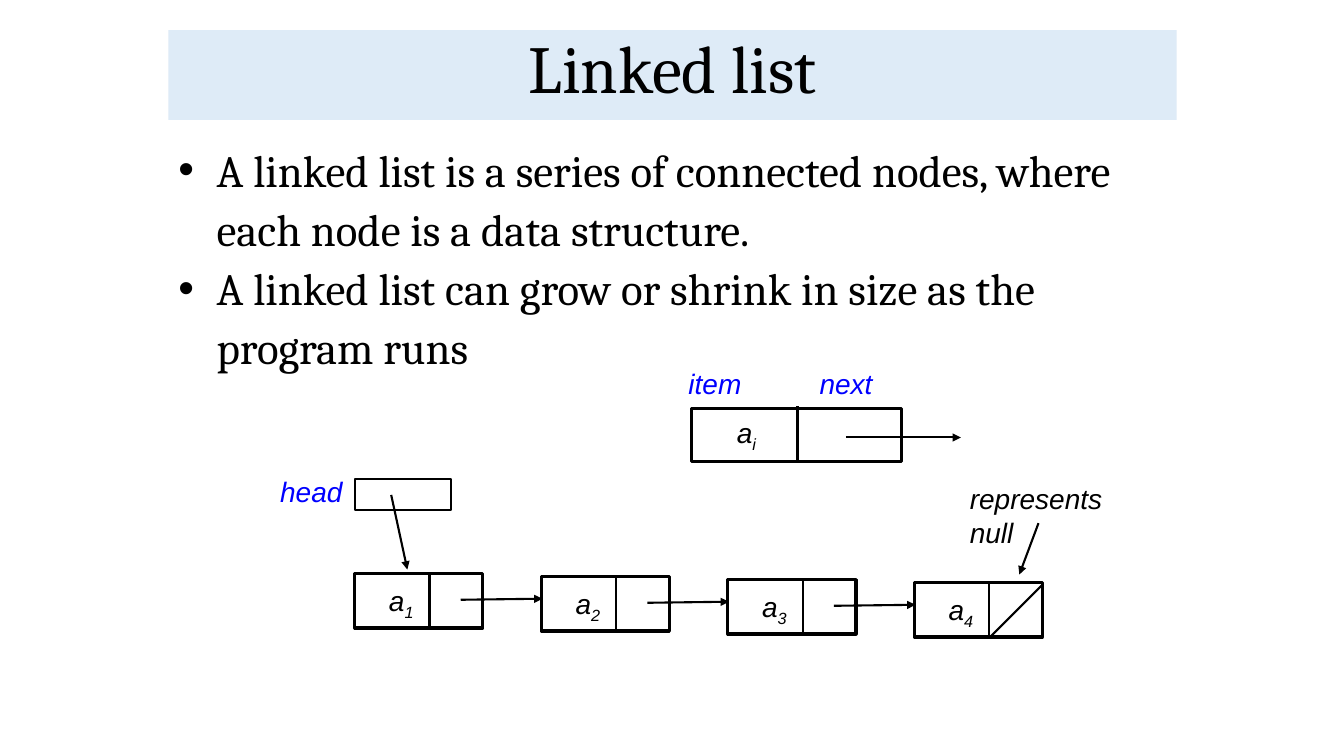
"""Build a slide that explains a linked list with a node diagram."""
from lxml import etree
from pptx import Presentation
from pptx.dml.color import RGBColor
from pptx.enum.shapes import MSO_CONNECTOR, MSO_SHAPE
from pptx.enum.text import MSO_ANCHOR, MSO_AUTO_SIZE, PP_ALIGN
from pptx.oxml.ns import qn
from pptx.util import Inches, Pt

STRAIGHT = MSO_CONNECTOR.STRAIGHT
RECTANGLE = MSO_SHAPE.RECTANGLE
MIDDLE, TOP = MSO_ANCHOR.MIDDLE, MSO_ANCHOR.TOP
NO_RESIZE = MSO_AUTO_SIZE.NONE
CENTER, LEFT = PP_ALIGN.CENTER, PP_ALIGN.LEFT
TITLE_ONLY = 5

BLACK, BLUE, PALE_BLUE = "000000", "0000FF", "DEEBF7"
BULLETS = [
    "A linked list is a series of connected nodes, where each node is a data structure. ",
    "A linked list can grow or shrink in size as the program runs ",
]
NODE_COUNT = 4
NODE_STEP_X, NODE_STEP_Y = 1.85, 0.03


def color(hex_string):
    """Turn a hex string into a colour."""
    return RGBColor.from_string(hex_string)


def add_run(paragraph, text, size, font, hex_color=BLACK, italic=False):
    """Append one formatted run and return it."""
    run = paragraph.add_run()
    run.text = text
    run.font.size = Pt(size)
    run.font.name = font
    run.font.italic = italic
    run.font.color.rgb = color(hex_color)
    return run


def add_title(slide, text):
    """Place the title on its pale blue band."""
    title = slide.shapes.title
    title.left, title.top = Inches(1.67), Inches(0.3)
    title.width, title.height = Inches(10), Inches(0.89)
    title.fill.solid()
    title.fill.fore_color.rgb = color(PALE_BLUE)
    frame = title.text_frame
    frame.auto_size = NO_RESIZE
    frame.vertical_anchor = MIDDLE
    frame.margin_bottom = Inches(0.11)
    paragraph = frame.paragraphs[0]
    paragraph.alignment = CENTER
    paragraph.line_spacing = 0.9
    add_run(paragraph, text, 48, "Cambria")


def add_bullets(slide, texts):
    """Write the bulleted statements."""
    box = slide.shapes.add_textbox(Inches(1.67), Inches(1.31), Inches(10), Inches(2.47))
    frame = box.text_frame
    frame.word_wrap = True
    for index, text in enumerate(texts):
        paragraph = frame.add_paragraph() if index else frame.paragraphs[0]
        paragraph.line_spacing = 1.1
        add_run(paragraph, text, 32, "Cambria")
        properties = paragraph._p.get_or_add_pPr()
        properties.set("marL", str(Inches(0.38)))
        properties.set("indent", str(Inches(-0.38)))
        etree.SubElement(properties, qn("a:buFont")).set("typeface", "Arial")
        etree.SubElement(properties, qn("a:buChar")).set("char", "•")


def add_label(group, left, top, width, lines, hex_color=BLACK, subscript=None):
    """Add an italic label, one paragraph a line, with an optional subscript."""
    height = 0.43 + 0.34 * (len(lines) - 1)
    box = group.shapes.add_textbox(Inches(left), Inches(top), Inches(width), Inches(height))
    frame = box.text_frame
    frame.word_wrap = False
    frame.vertical_anchor = TOP
    for index, line in enumerate(lines):
        paragraph = frame.add_paragraph() if index else frame.paragraphs[0]
        paragraph.alignment = LEFT
        add_run(paragraph, line, 20, "Arial", hex_color, True)
    if subscript:
        run = add_run(paragraph, subscript, 20, "Arial", hex_color, True)
        run._r.get_or_add_rPr().set("baseline", "-25000")


def add_box(group, left, top, width, height, line_width=2.25):
    """Add an unfilled box with a black outline."""
    box = group.shapes.add_shape(
        RECTANGLE, Inches(left), Inches(top), Inches(width), Inches(height))
    box.shadow.inherit = False
    box.fill.background()
    box.line.color.rgb = color(BLACK)
    box.line.width = Pt(line_width)


def add_line(group, start, end, arrow=False):
    """Add a black line, with an arrowhead at its end on request."""
    points = [Inches(value) for value in (*start, *end)]
    connector = group.shapes.add_connector(STRAIGHT, *points)
    connector.line.color.rgb = color(BLACK)
    connector.line.width = Pt(1.5)
    if arrow:
        head = etree.SubElement(connector.line._get_or_add_ln(), qn("a:tailEnd"))
        head.set("type", "triangle")
    etree.SubElement(connector._element.spPr, qn("a:effectLst"))


def add_node_anatomy(slide):
    """Draw the single node with its item and next fields."""
    group = slide.shapes.add_group_shape()
    add_line(group, (7.91, 4.03), (7.91, 4.58))
    add_label(group, 6.73, 3.59, 0.73, ["item"], BLUE)
    add_label(group, 8.03, 3.59, 0.73, ["next"], BLUE)
    add_box(group, 6.86, 4.05, 2.08, 0.53)
    add_label(group, 7.21, 4.07, 0.4, ["a"], subscript="i")
    add_line(group, (8.39, 4.34), (9.53, 4.34), arrow=True)


def add_list_node(group, number):
    """Draw a numbered node with its link, or a null slash in the last."""
    left = 3.52 + NODE_STEP_X * (number - 1)
    top = 5.69 + NODE_STEP_Y * (number - 1)
    add_box(group, left, top, 1.27, 0.54)
    add_line(group, (left + 0.74, top - 0.01), (left + 0.74, top + 0.54))
    add_label(group, left + 0.24, top + 0.05, 0.46, ["a"], subscript=str(number))
    if number < NODE_COUNT:
        add_line(group, (left + 1.05, top + 0.26), (left + 1.86, top + 0.25), arrow=True)
    else:
        add_line(group, (left + 1.27, top + 0.02), (left + 0.74, top + 0.55))


def add_linked_list(slide):
    """Draw the chain of nodes, its head pointer and the null note."""
    group = slide.shapes.add_group_shape()
    for number in range(1, NODE_COUNT + 1):
        add_list_node(group, number)
    add_box(group, 3.52, 4.75, 0.95, 0.31, line_width=1.5)
    add_label(group, 2.68, 4.66, 0.82, ["head"], BLUE)
    add_line(group, (3.88, 4.91), (4.04, 5.65), arrow=True)
    add_label(group, 9.52, 4.73, 1.6, ["represents", "null"])
    add_line(group, (10.3, 5.19), (10.11, 5.7), arrow=True)


def main():
    """Build and save the slide."""
    presentation = Presentation()
    presentation.slide_width = Inches(13.33)
    presentation.slide_height = Inches(7.5)
    slide = presentation.slides.add_slide(presentation.slide_layouts[TITLE_ONLY])
    add_title(slide, "Linked list")
    add_bullets(slide, BULLETS)
    add_node_anatomy(slide)
    add_linked_list(slide)
    presentation.save("out.pptx")


main()
